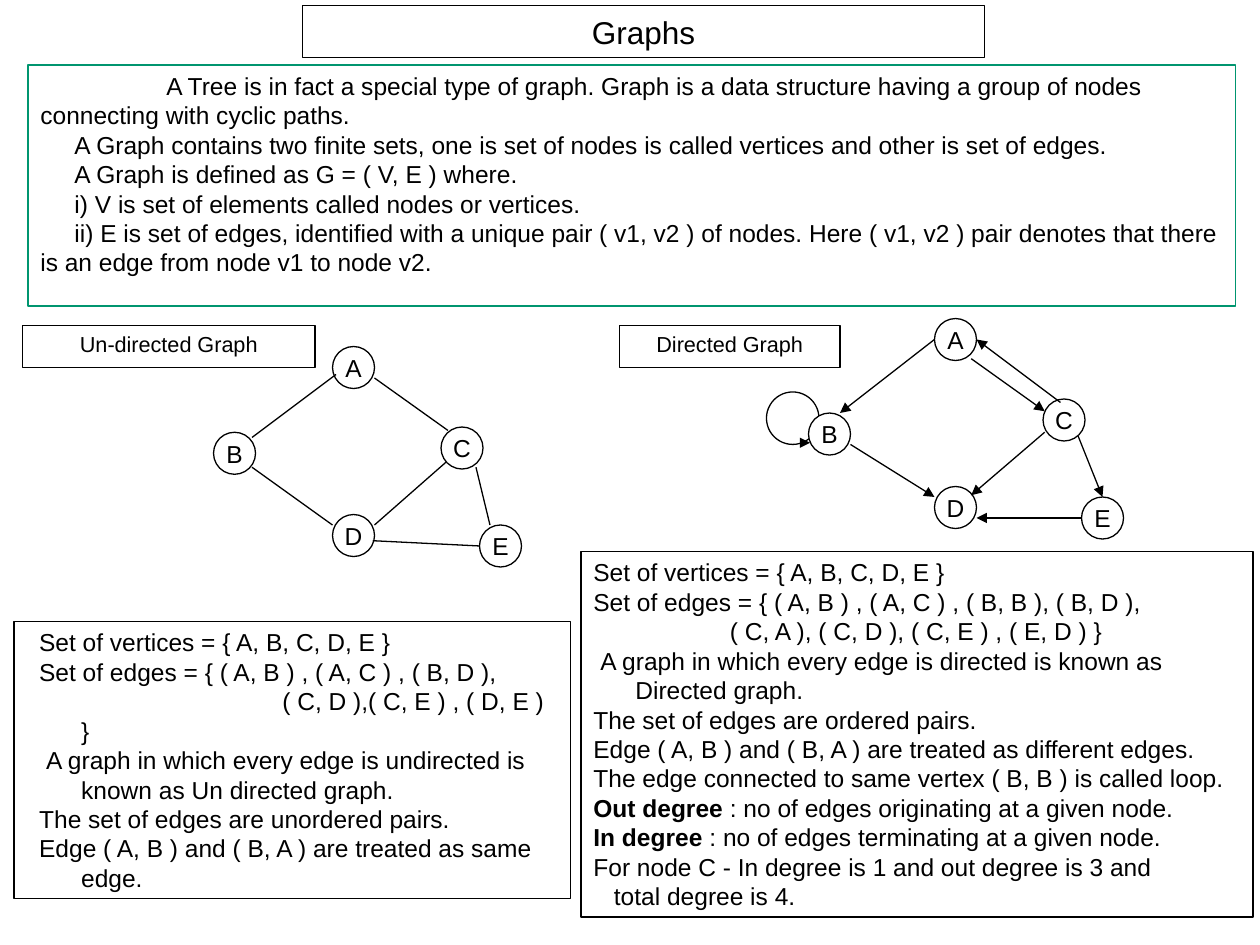
from pptx import Presentation
from pptx.dml.color import RGBColor
from pptx.enum.shapes import MSO_CONNECTOR, MSO_SHAPE
from pptx.enum.text import MSO_ANCHOR, MSO_AUTO_SIZE, PP_ALIGN
from pptx.oxml.ns import qn
from pptx.util import Pt
from lxml import etree

RECT, OVAL = MSO_SHAPE.RECTANGLE, MSO_SHAPE.OVAL
JOINT = MSO_SHAPE.FLOWCHART_CONNECTOR
STRAIGHT = MSO_CONNECTOR.STRAIGHT
TOP, MIDDLE = MSO_ANCHOR.TOP, MSO_ANCHOR.MIDDLE
LEFT, CENTER = PP_ALIGN.LEFT, PP_ALIGN.CENTER
FIT_SHAPE = MSO_AUTO_SIZE.SHAPE_TO_FIT_TEXT

BLACK, GREEN, WHITE = "000000", "00956F", "FFFFFF"
NODE_SIZE = 24
HANGING = (24, -24)


def color(value):
    return RGBColor.from_string(value)


class GraphSlide:
    font_name = "Arial"
    body_size = 14
    line_width = 0.75

    def __init__(self, slide):
        self.slide = slide

    def outline(self, kind, x, y, width, height, line=BLACK, weight=line_width, fill=None):
        shape = self.slide.shapes.add_shape(kind, Pt(x), Pt(y), Pt(width), Pt(height))
        shape.shadow.inherit = False
        if fill:
            shape.fill.solid()
            shape.fill.fore_color.rgb = color(fill)
        else:
            shape.fill.background()
        shape.line.color.rgb = color(line)
        shape.line.width = Pt(weight)
        return shape

    def style(self, paragraph, size, align):
        paragraph.alignment = align
        for run in paragraph.runs:
            run.font.name = self.font_name
            run.font.size = Pt(size)
            run.font.color.rgb = color(BLACK)

    def heading(self, x, y, width, height, text, size, spacing=1.0):
        frame = self.outline(RECT, x, y, width, height).text_frame
        frame.text = text
        frame.word_wrap = True
        frame.vertical_anchor = MIDDLE
        frame.paragraphs[0].line_spacing = spacing
        self.style(frame.paragraphs[0], size, CENTER)

    def text_box(self, x, y, width, height, lines, inset=7.2, fit=True, **look):
        """Each line is (text, (margin, first-line indent)); 'term| rest' has a bold term."""
        frame = self.outline(RECT, x, y, width, height, **look).text_frame
        frame.word_wrap = True
        frame.vertical_anchor = TOP
        frame.margin_left = frame.margin_right = Pt(inset)
        if fit:
            frame.auto_size = FIT_SHAPE
        for number, (text, (margin, indent)) in enumerate(lines):
            paragraph = frame.add_paragraph() if number else frame.paragraphs[0]
            term, _, rest = text.rpartition("|")
            if term:
                paragraph.add_run().text = term
                paragraph.runs[0].font.bold = True
            paragraph.add_run().text = rest
            properties = paragraph._p.get_or_add_pPr()
            properties.set("marL", str(Pt(margin)))
            properties.set("indent", str(Pt(indent)))
            self.style(paragraph, self.body_size, LEFT)

    def node(self, letter, x, y, fill=None):
        frame = self.outline(OVAL, x, y, NODE_SIZE, NODE_SIZE, fill=fill).text_frame
        frame.text = letter
        frame.word_wrap = False
        frame.vertical_anchor = MIDDLE
        self.style(frame.paragraphs[0], self.body_size, CENTER)

    def edge(self, x1, y1, x2, y2, directed=False):
        edge = self.slide.shapes.add_connector(STRAIGHT, Pt(x1), Pt(y1), Pt(x2), Pt(y2))
        edge.line.color.rgb = color(BLACK)
        edge.line.width = Pt(self.line_width)
        if directed:
            etree.SubElement(edge.line._get_or_add_ln(), qn("a:tailEnd"), type="triangle")
        etree.SubElement(edge._element.spPr, qn("a:effectLst"))


def main():
    deck = Presentation()
    deck.slide_width, deck.slide_height = Pt(720), Pt(540)
    page = GraphSlide(deck.slides.add_slide(deck.slide_layouts[6]))

    # Title and definition
    page.heading(172.8, 3, 390, 30, "Graphs", 18)
    step = (0, 19.5)
    definition = [
        ("A Tree is in fact a special type of graph. Graph is a data structure having "
         "a group of nodes connecting with cyclic paths.", (0, 72)),
        ("A Graph contains two finite sets, one is set of nodes is called vertices "
         "and other is set of edges.", step),
        ("A Graph is defined as G = ( V, E ) where.", step),
        ("i) V is set of elements called nodes or vertices.", step),
        ("ii) E is set of edges, identified with a unique pair ( v1, v2 ) of nodes. "
         "Here ( v1, v2 ) pair denotes that there is an edge from node v1 to node v2.", step),
    ]
    page.text_box(16, 37, 690, 138, definition, fit=False, line=GREEN, weight=1)

    # Undirected graph, and the same nodes moved over for the directed graph
    page.heading(13, 186, 167, 24, "Un-directed Graph", 12.4, 0.8)
    page.heading(354, 186, 126, 24, "Directed Graph", 12.4, 0.8)
    shared_nodes = {"A": (190, 198), "C": (252, 244), "D": (190, 294), "E": (274, 300)}
    for dx, dy in ((0, 0), (344, -16)):
        for letter, (x, y) in shared_nodes.items():
            page.node(letter, x + dx, y + dy)
    page.node("B", 122, 247)

    undirected_edges = [
        (192, 214, 144, 250),  # A, B
        (256, 246, 214, 216),  # A, C
        (190, 300, 144, 267),  # B, D
        (255, 264, 214, 300),  # C, D
        (280, 300, 272, 267),  # C, E
        (274, 312, 213, 309),  # D, E
    ]
    for ends in undirected_edges:
        page.edge(*ends)

    # Loop on B lies behind its node
    page.outline(JOINT, 438, 224, 30, 30)
    page.node("B", 462, 236, WHITE)
    directed_edges = [
        (534, 194, 480, 236),  # A to B
        (555, 205, 597, 235),  # A to C
        (457, 253, 463, 253),  # B to B
        (486, 254, 534, 284),  # B to D
        (606, 230, 558, 194),  # C to A
        (597, 247, 555, 283),  # C to D
        (616, 249, 630, 284),  # C to E
        (618, 296, 558, 296),  # E to D
    ]
    for ends in directed_edges:
        page.edge(*ends, directed=True)

    # Facts about each graph
    undirected_facts = [
        ("Set of vertices = { A, B, C, D, E }", HANGING),
        ("Set of edges = { ( A, B ) , ( A, C ) , ( B, D ),", HANGING),
        ("( C, D ),( C, E ) , ( D, E ) }", (24, 115)),
        ("A graph in which every edge is undirected is known as Un directed graph.", (24, -20)),
        ("The set of edges are unordered pairs.", HANGING),
        ("Edge ( A, B ) and ( B, A ) are treated as same edge.", HANGING),
    ]
    page.text_box(8, 355, 318, 158.5, undirected_facts, inset=14.4)

    directed_facts = [
        ("Set of vertices = { A, B, C, D, E }", HANGING),
        ("Set of edges = { ( A, B ) , ( A, C ) , ( B, B ), ( B, D ),", HANGING),
        ("( C, A ), ( C, D ), ( C, E ) , ( E, D ) }", (24, 54)),
        ("A graph in which every edge is directed is known as Directed graph.", (24, -20)),
        ("The set of edges are ordered pairs.", HANGING),
        ("Edge ( A, B ) and ( B, A ) are treated as different edges.", HANGING),
        ("The edge connected to same vertex ( B, B ) is called loop.", HANGING),
        ("Out degree| : no of edges originating at a given node.", HANGING),
        ("In degree| : no of edges terminating at a given node.", HANGING),
        ("For node C - In degree is 1 and out degree is 3 and", HANGING),
        ("total degree is 4.", (24, -12.3)),
    ]
    page.text_box(332, 315, 384, 209, directed_facts)

    deck.save("out.pptx")


if __name__ == "__main__":
    main()
